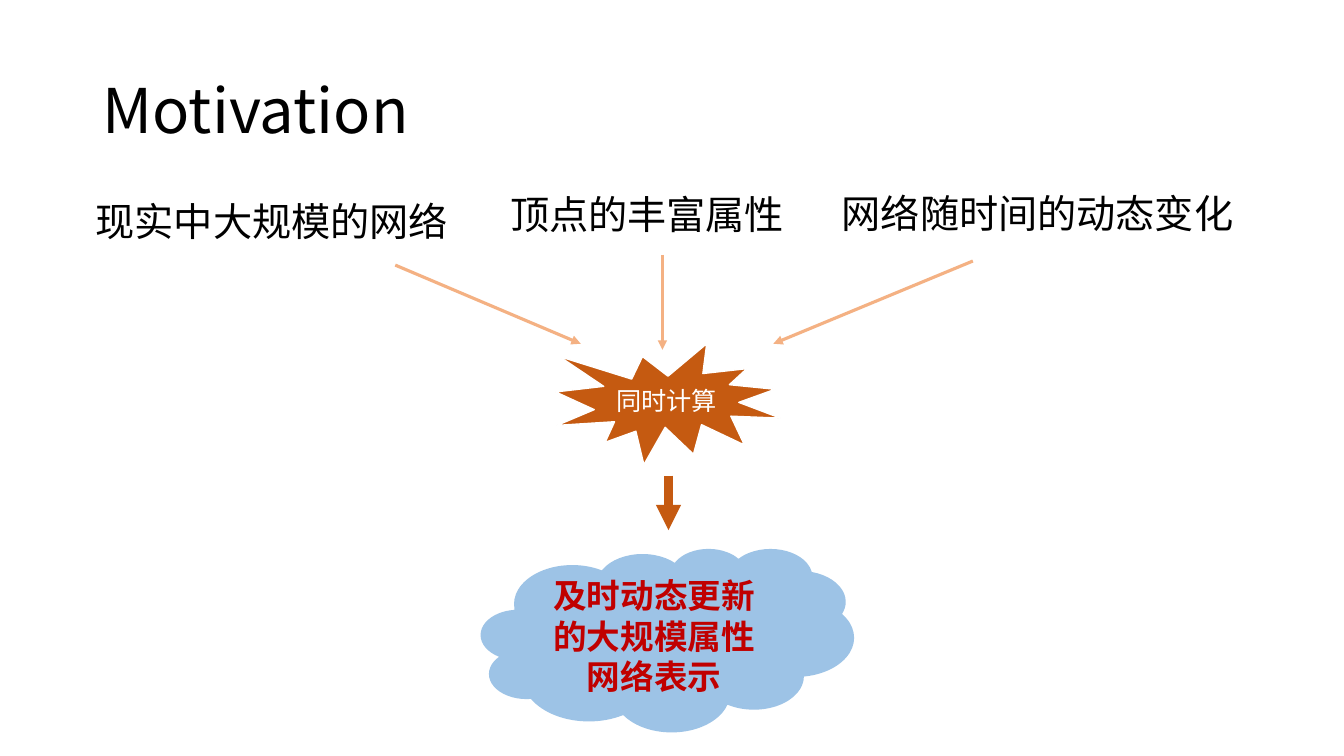
"""Build the Motivation slide: three challenges computed together into one result."""
from dataclasses import dataclass
from typing import Optional

from lxml.etree import SubElement
from pptx import Presentation
from pptx.dml.color import RGBColor
from pptx.enum.shapes import MSO_CONNECTOR, MSO_SHAPE
from pptx.enum.text import MSO_ANCHOR, PP_ALIGN
from pptx.oxml.ns import qn
from pptx.util import Emu, Inches, Pt

WIDTH, HEIGHT = Inches(13.33), Inches(7.5)


@dataclass(frozen=True)
class Theme:
    """Colours, font and type sizes of the slide."""
    font: str = "Noto Sans CJK SC"
    ink: str = "000000"
    paper: str = "FFFFFF"
    burst: str = "C55A11"
    link: str = "F4B183"
    cloud: str = "9DC3E6"
    result: str = "C00000"
    title_size: int = 44
    challenge_size: int = 28
    result_size: int = 24
    burst_size: int = 18


THEME = Theme()


@dataclass(frozen=True)
class Area:
    """Rectangle in percent of the slide's width and height."""
    left: float
    top: float
    width: float
    height: float

    def box(self) -> tuple[Emu, Emu, Emu, Emu]:
        """Return the rectangle as slide lengths."""
        return (across(self.left), down(self.top),
                across(self.width), down(self.height))


@dataclass(frozen=True)
class Label:
    """Plain text on the slide."""
    text: str
    area: Area
    size: int
    line_spacing: float
    space_before: int = 10
    anchor: MSO_ANCHOR = MSO_ANCHOR.TOP


@dataclass(frozen=True)
class Badge:
    """Filled shape with a centred text."""
    text: str
    area: Area
    outline: MSO_SHAPE
    fill: str
    size: int
    color: str
    bold: bool = False
    border: Optional[str] = None


@dataclass(frozen=True)
class Arrow:
    """Arrow between two points in percent of the slide's size."""
    start: tuple[float, float]
    end: tuple[float, float]
    color: str = THEME.link
    weight: float = 2.25


LABELS = [
    Label("Motivation", Area(6.9, 5.33, 86.27, 19.33), THEME.title_size, 0.9, 0,
          MSO_ANCHOR.MIDDLE),
    Label("现实中大规模的网络", Area(6.38, 24.8, 29.93, 8.27),
          THEME.challenge_size, 1.1),
    Label("顶点的丰富属性", Area(37.21, 25.73, 23.86, 6.4),
          THEME.challenge_size, 0.8),
    Label("网络随时间的动态变化", Area(61.89, 25.07, 31.96, 9.47),
          THEME.challenge_size, 0.9),
]
ARROWS = [
    Arrow((49.29, 33.73), (49.29, 46.27)),
    Arrow((29.41, 35.07), (43.21, 45.47)),
    Arrow((72.39, 34.53), (57.54, 45.47)),
    Arrow((49.74, 62.93), (49.74, 70.13), THEME.burst, 6),
]
BADGES = [
    Badge("同时计算", Area(41.34, 45.47, 16.73, 16), MSO_SHAPE.EXPLOSION1,
          THEME.burst, THEME.burst_size, THEME.paper, border=THEME.paper),
    Badge("及时动态更新的大规模属性网络表示", Area(35.78, 72.53, 27.76, 24.27),
          MSO_SHAPE.CLOUD, THEME.cloud, THEME.result_size, THEME.result, bold=True),
]


def across(percent: float) -> Emu:
    """Convert a share of the slide's width."""
    return Emu(round(WIDTH * percent / 100))


def down(percent: float) -> Emu:
    """Convert a share of the slide's height."""
    return Emu(round(HEIGHT * percent / 100))


def write(shape, text: str, size: int, color: str, bold: bool = False):
    """Fill the shape with formatted text and return its paragraph."""
    shape.text_frame.word_wrap = True
    paragraph = shape.text_frame.paragraphs[0]
    paragraph.text = text
    font = paragraph.runs[0].font
    font.name, font.size, font.bold = THEME.font, Pt(size), bold
    font.color.rgb = RGBColor.from_string(color)
    east_asian = SubElement(font._element, qn("a:ea"))
    east_asian.set("typeface", THEME.font)
    return paragraph


def draw_label(slide, label: Label) -> None:
    """Draw one plain text."""
    textbox = slide.shapes.add_textbox(*label.area.box())
    paragraph = write(textbox, label.text, label.size, THEME.ink)
    paragraph.line_spacing = label.line_spacing
    paragraph.space_before = Pt(label.space_before)
    textbox.text_frame.vertical_anchor = label.anchor


def draw_badge(slide, badge: Badge) -> None:
    """Draw one filled shape."""
    shape = slide.shapes.add_shape(badge.outline, *badge.area.box())
    shape.shadow.inherit = False
    shape.fill.solid()
    shape.fill.fore_color.rgb = RGBColor.from_string(badge.fill)
    if badge.border:
        shape.line.color.rgb = RGBColor.from_string(badge.border)
        shape.line.width = Pt(1)
    else:
        shape.line.fill.background()
    paragraph = write(shape, badge.text, badge.size, badge.color, badge.bold)
    paragraph.alignment = PP_ALIGN.CENTER
    shape.text_frame.vertical_anchor = MSO_ANCHOR.MIDDLE


def draw_arrow(slide, arrow: Arrow) -> None:
    """Draw one arrow with a triangular head."""
    (x1, y1), (x2, y2) = arrow.start, arrow.end
    connector = slide.shapes.add_connector(
        MSO_CONNECTOR.STRAIGHT, across(x1), down(y1), across(x2), down(y2))
    connector.line.color.rgb = RGBColor.from_string(arrow.color)
    connector.line.width = Pt(arrow.weight)
    properties = connector._element.spPr
    SubElement(properties.find(qn("a:ln")), qn("a:tailEnd")).set("type", "triangle")
    SubElement(properties, qn("a:effectLst"))


def main() -> None:
    """Build and save the slide."""
    presentation = Presentation()
    presentation.slide_width, presentation.slide_height = WIDTH, HEIGHT
    slide = presentation.slides.add_slide(presentation.slide_layouts[6])
    for label in LABELS:
        draw_label(slide, label)
    for arrow in ARROWS:
        draw_arrow(slide, arrow)
    for badge in BADGES:
        draw_badge(slide, badge)
    presentation.save("out.pptx")


if __name__ == "__main__":
    main()
